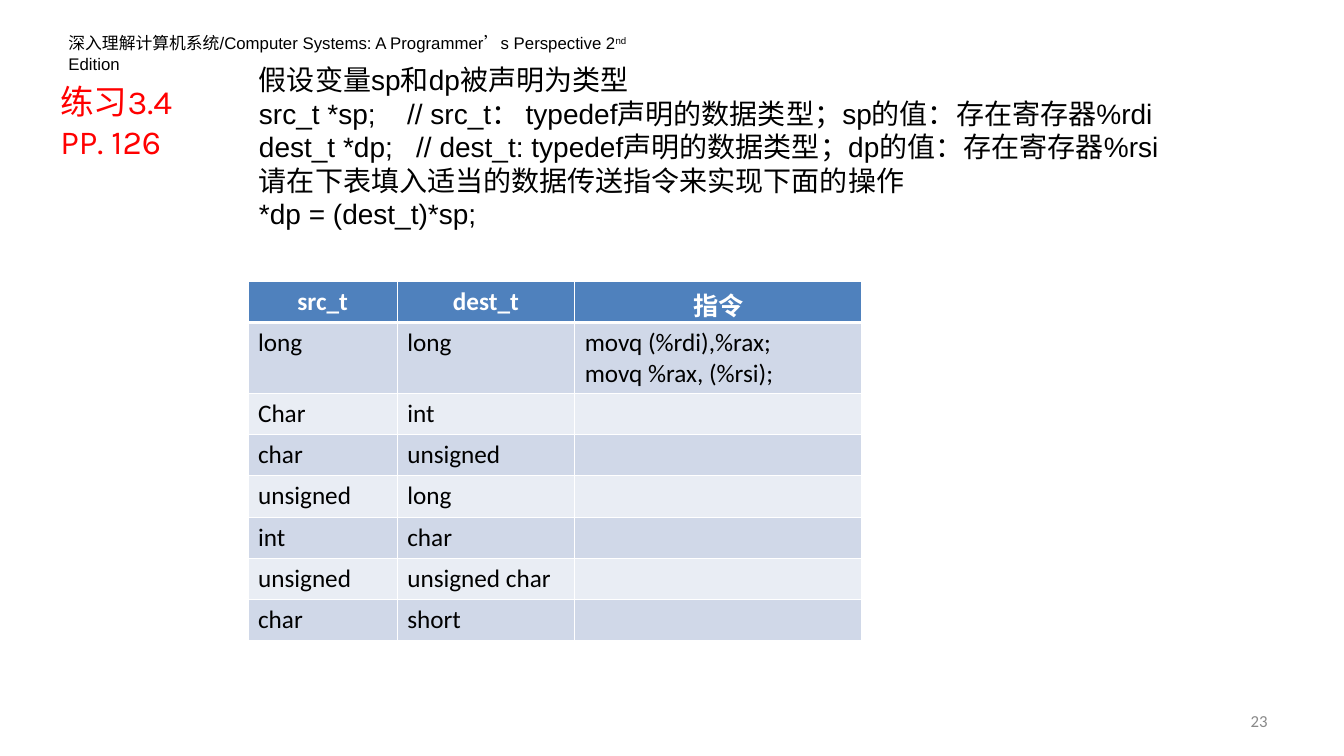
from pptx import Presentation
from pptx.dml.color import RGBColor as RGB
from pptx.enum.text import MSO_ANCHOR as Anchor, PP_ALIGN as Align
from pptx.oxml import parse_xml as xml
from pptx.oxml.ns import nsdecls
from pptx.util import Pt

PX = 9144
HUE = {"black": "000000", "white": "FFFFFF", "red": "FF0000", "grey": "898989",
       "head": "4F81BD", "dark": "D0D8E8", "light": "E9EDF4"}
NS = nsdecls("a")

deck = Presentation()
deck.slide_width, deck.slide_height = 1333 * PX, 750 * PX
slide = deck.slides.add_slide(deck.slide_layouts[6])


def write(frame, lines, size=18, face="Calibri", hue="black", bold=False,
          align=Align.LEFT, tabs=()):
    frame.word_wrap = True
    for i, line in enumerate(lines):
        para = frame.paragraphs[0] if i == 0 else frame.add_paragraph()
        para.alignment = align
        if "\t" in line:
            para._p.get_or_add_pPr().append(xml(
                f'<a:tabLst {NS}><a:tab pos="{tabs[i] * PX}" algn="l"/></a:tabLst>'))
        for j, part in enumerate(line.split("^")):
            run = para.add_run()
            run.text = part
            font = run.font
            font.size, font.name, font.bold = Pt(size), face, bold
            font.color.rgb = RGB.from_string(HUE[hue])
            if j % 2:
                run._r.get_or_add_rPr().set("baseline", "30000")


def box(x, y, w, h):
    return slide.shapes.add_textbox(x * PX, y * PX, w * PX, h * PX).text_frame


write(box(58, 28, 628, 30),
      ["深入理解计算机系统/Computer Systems: A Programmer’s Perspective 2^nd^ Edition"],
      size=12, face="Arial")

page = box(956, 695, 311, 40)
page.vertical_anchor = Anchor.MIDDLE
write(page, ["23"], size=12, hue="grey", align=Align.RIGHT)

write(box(50, 75, 156, 91), ["练习3.4", "PP. 126"], size=24, face="Karla", hue="red")

write(box(247, 57, 994, 178), [
    "假设变量sp和dp被声明为类型",
    "src_t *sp;\t// src_t： typedef声明的数据类型；sp的值：存在寄存器%rdi",
    "dest_t *dp;\t// dest_t: typedef声明的数据类型；dp的值：存在寄存器%rsi",
    "请在下表填入适当的数据传送指令来实现下面的操作",
    "*dp = (dest_t)*sp;",
], size=20, face="Arial", tabs=(0, 147, 156, 0, 0))

rows = [
    ("src_t", "dest_t", "指令"),
    ("long", "long", "movq (%rdi),%rax;\nmovq %rax, (%rsi);"),
    ("Char", "int", ""),
    ("char", "unsigned", ""),
    ("unsigned", "long", ""),
    ("int", "char", ""),
    ("unsigned", "unsigned char", ""),
    ("char", "short", ""),
]
grid = slide.shapes.add_table(len(rows), 3, 246 * PX, 279 * PX, 609 * PX, 354 * PX).table
for col, wide in zip(grid.columns, (148, 176, 285)):
    col.width = wide * PX

for r, row in enumerate(rows):
    grid.rows[r].height = (70 if r == 1 else 41) * PX
    top = r == 0
    fill = "head" if top else "dark" if r % 2 else "light"
    for c, text in enumerate(row):
        cell = grid.cell(r, c)
        props = cell._tc.get_or_add_tcPr()
        for side in "LRTB":
            thick = (r, side) in ((0, "B"), (1, "T"))
            props.append(xml(
                f'<a:ln{side} {NS} w="{Pt(3 if thick else 1)}"><a:solidFill>'
                f'<a:srgbClr val="{HUE["white"]}"/></a:solidFill></a:ln{side}>'))
        cell.fill.solid()
        cell.fill.fore_color.rgb = RGB.from_string(HUE[fill])
        if text:
            write(cell.text_frame, text.split("\n"), bold=top,
                  hue="white" if top else "black",
                  align=Align.CENTER if top else Align.LEFT)

deck.save("out.pptx")
